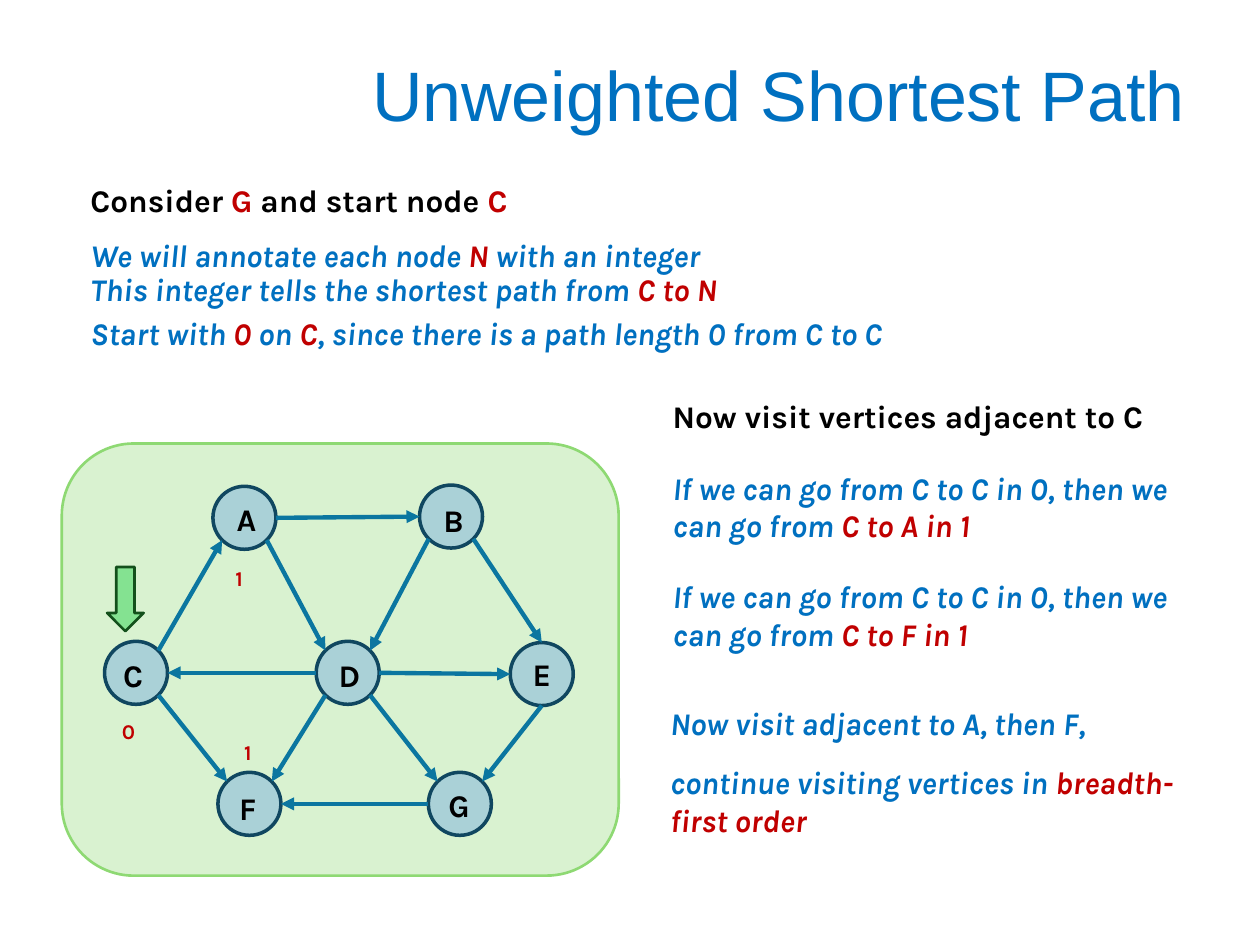
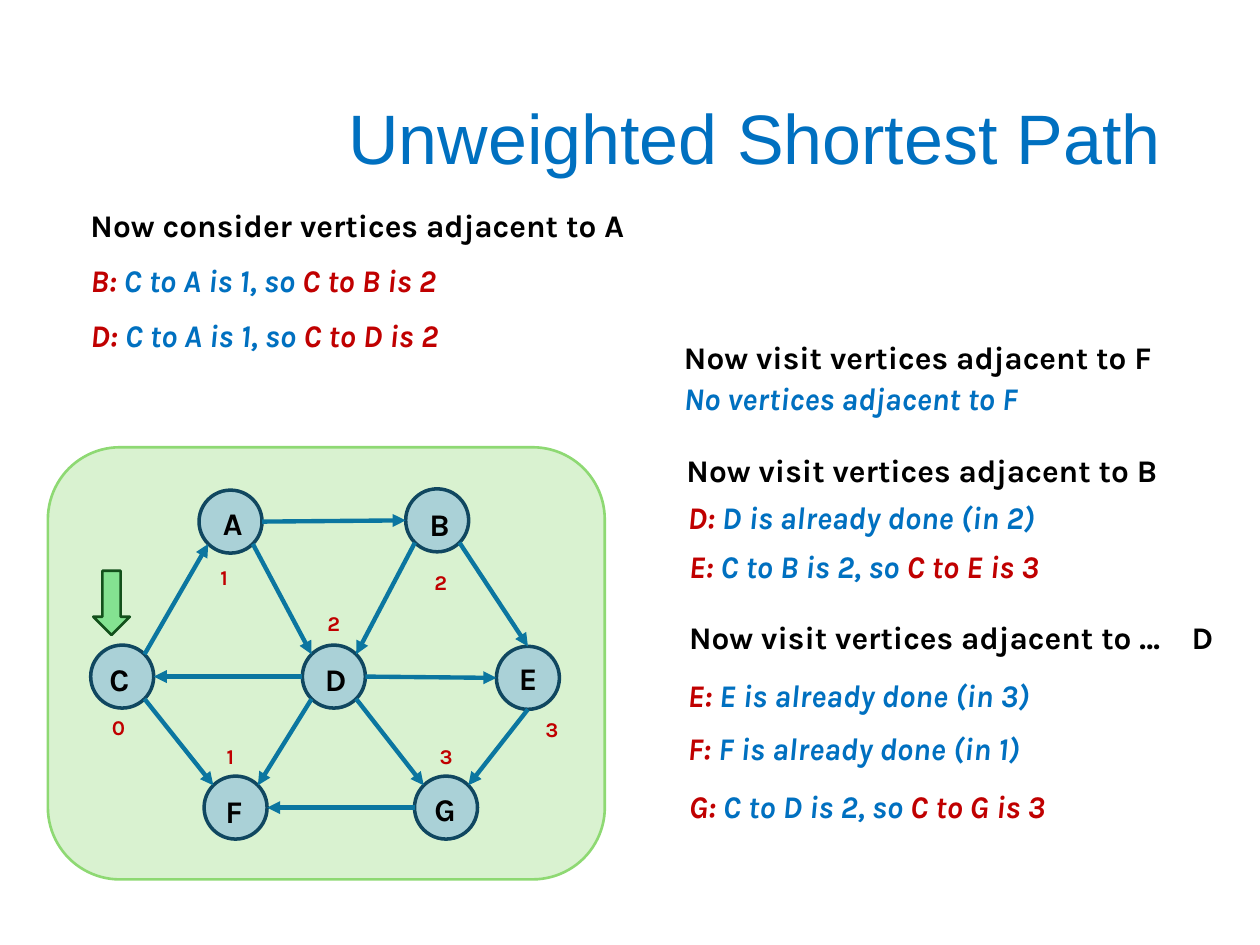
from lxml import etree
from pptx import Presentation
from pptx import util as u
from pptx.dml.color import RGBColor
from pptx.enum import shapes, text
from pptx.oxml import ns

BLACK = RGBColor(0x00, 0x00, 0x00)
BLUE = RGBColor(0x00, 0x70, 0xC0)
RED = RGBColor(0xC0, 0x00, 0x00)
PANEL_FILL = RGBColor(0xD9, 0xF2, 0xD0)
PANEL_LINE = RGBColor(0x8E, 0xD9, 0x73)
NODE_FILL = RGBColor(0x71, 0xAA, 0xE0)
NODE_LINE = RGBColor(0x10, 0x47, 0x60)
EDGE = RGBColor(0x0B, 0x76, 0xA0)
START_FILL = RGBColor(0x84, 0xE2, 0x91)
START_LINE = RGBColor(0x13, 0x50, 0x1B)

COLUMNS, ROWS = 100, 75
RADIUS = 2.5
DIAGONAL = 1.77
COMPASS = {
    "N": (0, -RADIUS), "S": (0, RADIUS), "W": (-RADIUS, 0), "E": (RADIUS, 0),
    "NW": (-DIAGONAL, -DIAGONAL), "NE": (DIAGONAL, -DIAGONAL),
    "SW": (-DIAGONAL, DIAGONAL), "SE": (DIAGONAL, DIAGONAL),
}
NODES = {
    "A": (14.5, 5.9), "B": (30.9, 5.8), "C": (5.9, 18.2), "D": (22.7, 18.2),
    "E": (38.1, 18.3), "F": (14.9, 28.6), "G": (31.6, 28.6),
}
LETTER_SHIFTS = {
    "A": (-1.6, -1.9), "B": (-1.6, -1.7), "C": (-2, -1.8), "D": (-1.7, -1.8),
    "E": (-1.7, -2), "F": (-1.8, -1.7), "G": (-1.9, -1.9),
}
EDGES = [
    ("A", "E", "B", "W"), ("A", "SE", "D", "NW"), ("B", "SW", "D", "NE"),
    ("B", "SE", "E", "N"), ("C", "NE", "A", "SW"), ("C", "SE", "F", "NW"),
    ("D", "W", "C", "E"), ("D", "E", "E", "W"), ("D", "SW", "F", "NE"),
    ("D", "SE", "G", "NW"), ("E", "S", "G", "NE"), ("G", "W", "F", "E"),
]


class Deck:
    text_font, title_font = "Karla", "Arial"
    text_size, distance_size, title_size = 18, 12, 40

    def __init__(self):
        self.file = Presentation()
        self.file.slide_width, self.file.slide_height = u.Inches(10), u.Inches(7.5)
        self.canvas = None

    def across(self, columns):
        return round(self.file.slide_width * columns / COLUMNS)

    def down(self, rows):
        return round(self.file.slide_height * rows / ROWS)

    def place(self, left, top, width, height):
        return self.across(left), self.down(top), self.across(width), self.down(height)

    def new_slide(self, title_area):
        self.slide = self.file.slides.add_slide(self.file.slide_layouts[6])
        self.canvas = self.slide.shapes
        frame = self.frame(title_area)
        frame.vertical_anchor = text.MSO_ANCHOR.MIDDLE
        heading = frame.paragraphs[0]
        heading.text = "Unweighted Shortest Path"
        heading.alignment = text.PP_ALIGN.RIGHT
        heading.line_spacing = 0.9
        self.style(heading.runs[0], BLUE, self.title_size, self.title_font, bold=False)

    def style(self, run, color, size, name, bold=True, italic=False):
        font = run.font
        font.name, font.size = name, u.Pt(size)
        font.bold, font.italic = bold, italic
        font.color.rgb = color

    def frame(self, area):
        frame = self.canvas.add_textbox(*self.place(*area)).text_frame
        frame.word_wrap = True
        return frame

    def fill_paragraph(self, paragraph, words, color, italic, size):
        for index, part in enumerate(words.split("|")):
            if part:
                run = paragraph.add_run()
                run.text = part
                self.style(run, RED if index % 2 else color, size, self.text_font, italic=italic)

    def note(self, area, *lines, color=BLUE, italic=True, size=text_size):
        frame = self.frame(area)
        frame.auto_size = text.MSO_AUTO_SIZE.SHAPE_TO_FIT_TEXT
        for index, words in enumerate(lines):
            paragraph = frame.add_paragraph() if index else frame.paragraphs[0]
            paragraph.space_before = u.Pt(12 if index else 0)
            self.fill_paragraph(paragraph, words, color, italic, size)

    def head(self, area, words):
        self.note(area, words, color=BLACK, italic=False)

    def body(self, area, heading, *notes):
        frame = self.frame(area)
        for index, (words, before) in enumerate([(heading, 12), *notes]):
            paragraph = frame.add_paragraph() if index else frame.paragraphs[0]
            paragraph.line_spacing = 0.9
            paragraph.space_before = u.Pt(before)
            paragraph._p.get_or_add_pPr().set("marL", str(u.Inches(0.12)))
            self.fill_paragraph(paragraph, words, BLUE if index else BLACK, index > 0, self.text_size)

    def shape(self, kind, area, fill, line, weight, opacity=None):
        shape = self.canvas.add_shape(kind, *self.place(*area))
        shape.shadow.inherit = False
        shape.fill.solid()
        shape.fill.fore_color.rgb = fill
        shape.line.color.rgb, shape.line.width = line, u.Pt(weight)
        if opacity:
            tint = shape._element.spPr.find(ns.qn("a:solidFill"))[0]
            etree.SubElement(tint, ns.qn("a:alpha")).set("val", str(opacity * 1000))

    def arrow(self, start, end):
        arrow = self.canvas.add_connector(
            shapes.MSO_CONNECTOR.STRAIGHT,
            self.across(start[0]), self.down(start[1]), self.across(end[0]), self.down(end[1]))
        arrow.line.color.rgb, arrow.line.width = EDGE, u.Pt(2.5)
        etree.SubElement(arrow.line._get_or_add_ln(), ns.qn("a:tailEnd")).set("type", "triangle")
        etree.SubElement(arrow._element.spPr, ns.qn("a:effectLst"))

    def graph(self, left, top, distances):
        self.canvas = self.slide.shapes.add_group_shape().shapes
        self.shape(shapes.MSO_SHAPE.ROUNDED_RECTANGLE, (left, top, 44.2, 34.3),
                   PANEL_FILL, PANEL_LINE, 1.5)
        centres = {name: (left + x, top + y) for name, (x, y) in NODES.items()}
        for name, (x, y) in centres.items():
            self.shape(shapes.MSO_SHAPE.OVAL, (x - RADIUS, y - RADIUS, 2 * RADIUS, 2 * RADIUS),
                       NODE_FILL, NODE_LINE, 2, opacity=45)
            dx, dy = LETTER_SHIFTS[name]
            self.head((x + dx, y + dy, 3.4, 4.1), name)
        for origin, leaving, target, entering in EDGES:
            ends = [[c + d for c, d in zip(centres[node], COMPASS[side])]
                    for node, side in ((origin, leaving), (target, entering))]
            self.arrow(*ends)
        self.shape(shapes.MSO_SHAPE.DOWN_ARROW, (left + 3.6, top + 9.8, 2.9, 5.1),
                   START_FILL, START_LINE, 1.5)
        for x, y, steps in distances:
            self.note((x, y, 3.3, 3), steps, color=RED, italic=False, size=self.distance_size)
        self.canvas = self.slide.shapes


def start_at_c(deck):
    deck.new_slide((5, 3, 90, 9.7))
    deck.body((5, 14.2, 90, 54.2), "Consider |G| and start node |C",
              ("We will annotate each node |N |with an integer", 12),
              ("This integer tells the shortest path from |C to N", 0),
              ("Start with |0 |on |C|, since there is a path length 0 from C to C", 6))
    deck.graph(4.9, 35.2, [(8.7, 56.5, "0"), (17.7, 44.4, "1"), (18.4, 58.2, "1")])
    deck.head((52.4, 31, 41.3, 4), "Now visit vertices adjacent to C")
    for top, neighbour in ((36.7, "A"), (45.3, "F")):
        deck.note((52.4, top, 41.3, 7.1),
                  f"If we can go from C to C in 0, then we can go from |C to {neighbour} in 1")
    deck.note((52.2, 55.4, 44.3, 11.8), "Now visit adjacent to A, then F,",
              "continue visiting vertices in |breadth-first order")


def visit_the_rest(deck):
    deck.new_slide((6.9, 4, 86.2, 14.5))
    deck.body((5, 16.2, 90, 52.1), "Now consider vertices adjacent to A",
              *((f"|{name}: |C to A is 1, so |C to {name} is 2", 12) for name in "BD"))
    deck.graph(3.8, 35.5, [
        (7.9, 56.2, "0"), (16.5, 44.3, "1"), (17, 58.5, "1"), (33.5, 44.7, "2"),
        (25, 48, "2"), (42.3, 56.4, "3"), (33.9, 58.5, "3")])
    for left, top, width, heading in (
            (53.3, 26.3, 41.3, "Now visit vertices adjacent to F"),
            (53.5, 35.3, 41.3, "Now visit vertices adjacent to B"),
            (53.7, 48.6, 43.5, "Now visit vertices adjacent to …"),
            (93.6, 48.6, 5.5, "D")):
        deck.head((left, top, width, 4), heading)
    for left, top, finding in (
            (53.3, 29.6, "No vertices adjacent to F"),
            (53.6, 39, "|D:| D is already done (in 2)"),
            (53.7, 42.9, "|E:| C to B is 2, so |C to E is 3"),
            (53.6, 53.2, "|E:| E is already done (in 3)"),
            (53.6, 57.4, "|F:| F is already done (in 1)"),
            (53.7, 62, "|G:| C to D is 2, so |C to G is 3")):
        deck.note((left, top, 41.3, 4), finding)


def main():
    deck = Deck()
    start_at_c(deck)
    visit_the_rest(deck)
    deck.file.save("out.pptx")


if __name__ == "__main__":
    main()
